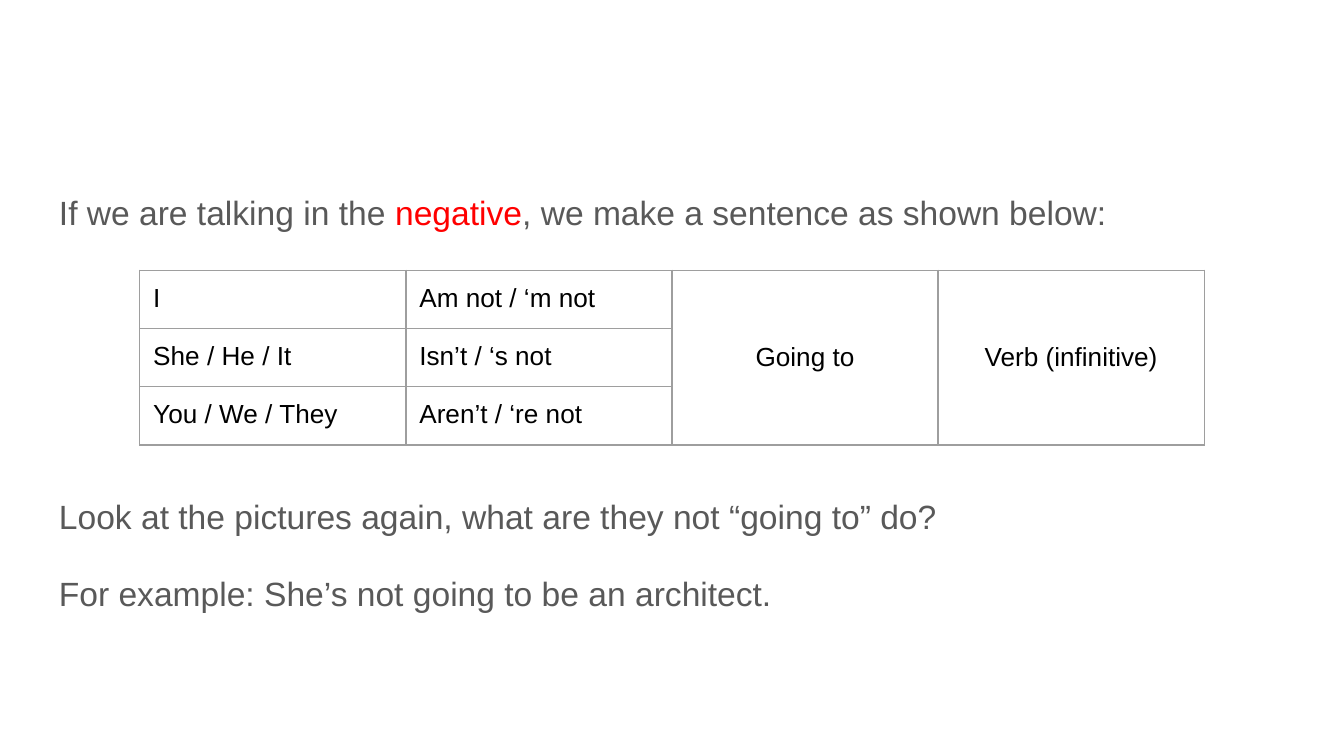
from lxml import etree
from pptx import Presentation, util as u
from pptx.dml.color import RGBColor
from pptx.enum import text
from pptx.oxml.ns import qn

W = 10
H = W * 9 / 16
GREY, RED, BLACK, LINE = "595959", "FF0000", "000000", "9E9E9E"
PARAGRAPHS = [
    (0, [("If we are talking in the ", GREY), ("negative", RED),
         (", we make a sentence as shown below:", GREY)]),
    (138.5, [("Look at the pictures again, what are they not “going to” do?", GREY)]),
    (16, [("For example: She’s not going to be an architect.", GREY)]),
]
ROWS = [
    ["I", "Am not / ‘m not", "Going to", "Verb (infinitive)"],
    ["She / He / It", "Isn’t / ‘s not"],
    ["You / We / They", "Aren’t / ‘re not"],
]
MERGED_COLS = (2, 3)
COL_W, ROW_H = 1.98, 0.42
BODY_SIZE, CELL_SIZE = 18, 14
MARGINS = {f"margin_{side}": u.Inches(0.1) for side in ("left", "right", "top", "bottom")}


def color(value):
    return RGBColor.from_string(value)


def apply(obj, formats):
    for name, value in formats.items():
        setattr(obj, name, value)


def add_run(p, words, size, fill):
    r = p.add_run()
    r.text = words
    apply(r.font, {"name": "Arial", "size": u.Pt(size)})
    r.font.color.rgb = color(fill)


def add_borders(cell):
    tc_pr = cell._tc.get_or_add_tcPr()
    for i, side in enumerate(("lnL", "lnR", "lnT", "lnB")):
        ln = etree.Element(qn(f"a:{side}"), w=str(u.Pt(0.75)))
        fill = etree.SubElement(ln, qn("a:solidFill"))
        etree.SubElement(fill, qn("a:srgbClr"), val=LINE)
        tc_pr.insert(i, ln)


def add_body(s):
    tf = s.shapes.add_textbox(*map(u.Inches, (0.34, 1.28, W - 2 * 0.34, 3.74))).text_frame
    apply(tf, {"word_wrap": True, **MARGINS})
    for i, (before, runs) in enumerate(PARAGRAPHS):
        p = tf.add_paragraph() if i else tf.paragraphs[0]
        apply(p, {"line_spacing": 1.15, "space_before": u.Pt(before)})
        for words, fill in runs:
            add_run(p, words, BODY_SIZE, fill)


def add_grammar_table(s):
    n_rows, n_cols = len(ROWS), len(ROWS[0])
    box = (1.04, 2.01, n_cols * COL_W, n_rows * ROW_H)
    table = s.shapes.add_table(n_rows, n_cols, *map(u.Inches, box)).table
    apply(table, {"first_row": False, "horz_banding": False})
    for col in table.columns:
        col.width = u.Inches(COL_W)
    for row in table.rows:
        row.height = u.Inches(ROW_H)
    for c in MERGED_COLS:
        table.cell(0, c).merge(table.cell(n_rows - 1, c))
    for cell in table.iter_cells():
        cell.fill.background()
        apply(cell, MARGINS)
        add_borders(cell)
        if cell.is_spanned:
            p = cell.text_frame.paragraphs[0]
            etree.SubElement(p._p, qn("a:endParaRPr"), sz=str(CELL_SIZE * 100))
    for i, row in enumerate(ROWS):
        for j, words in enumerate(row):
            cell = table.cell(i, j)
            p = cell.text_frame.paragraphs[0]
            add_run(p, words, CELL_SIZE, BLACK)
            if j in MERGED_COLS:
                cell.vertical_anchor = text.MSO_ANCHOR.MIDDLE
                p.alignment = text.PP_ALIGN.CENTER


def main():
    prs = Presentation()
    apply(prs, {"slide_width": u.Inches(W), "slide_height": u.Inches(H)})
    s = prs.slides.add_slide(prs.slide_layouts[6])
    add_body(s)
    add_grammar_table(s)
    prs.save("out.pptx")


if __name__ == "__main__":
    main()
